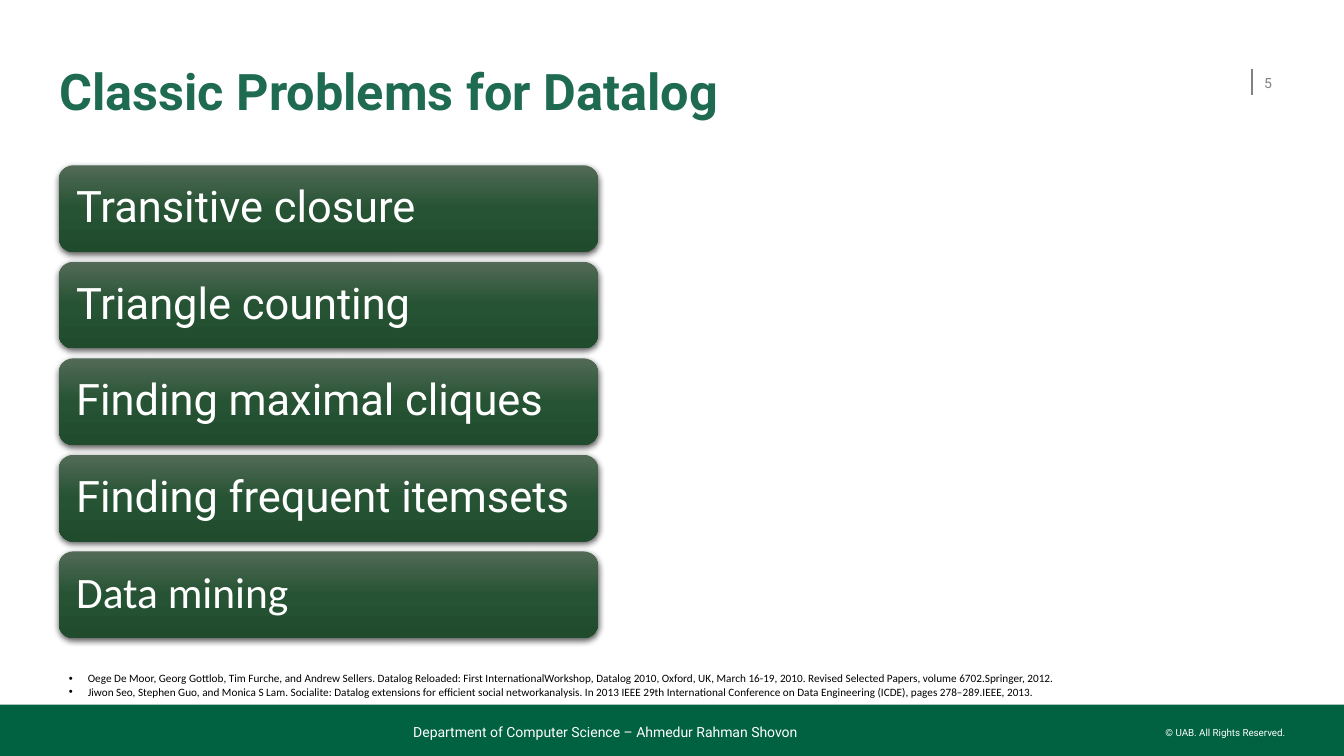
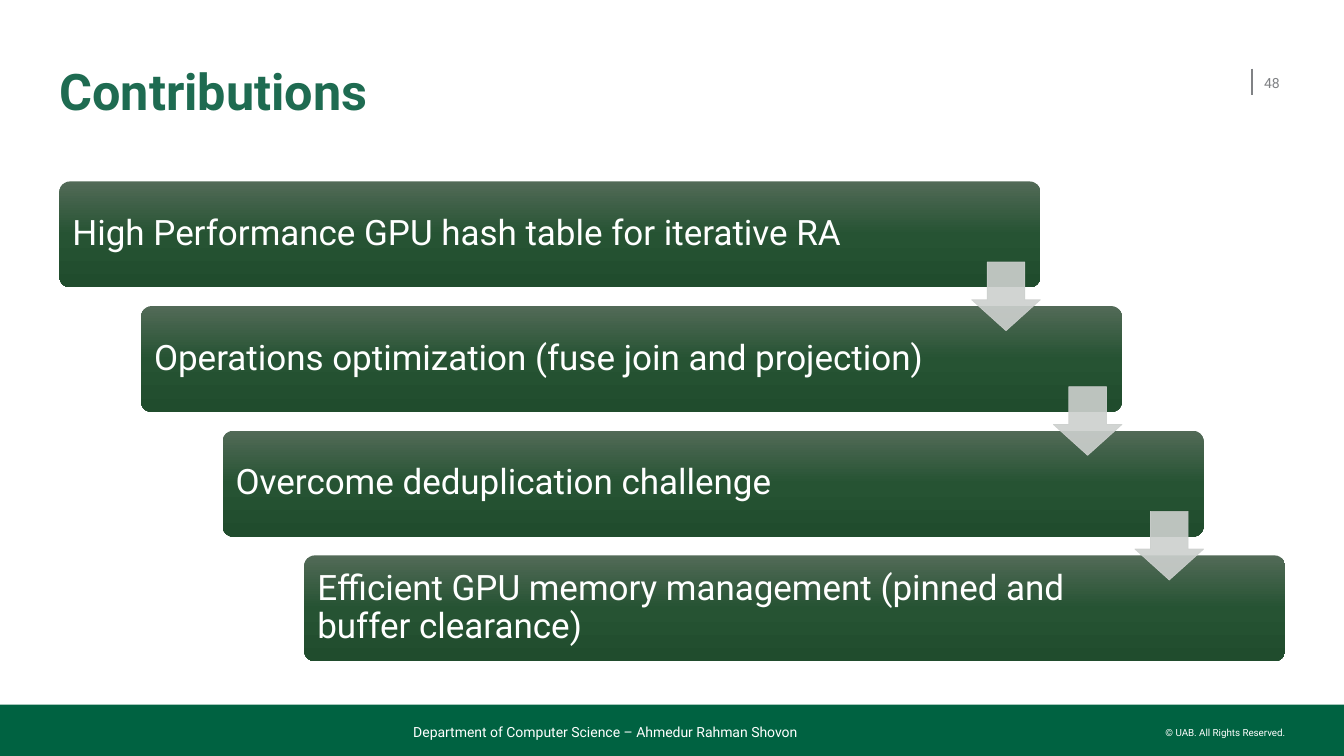
from pptx import Presentation
from pptx import util as u
from pptx import oxml
from pptx.dml import color
from pptx.enum import shapes, text
from pptx.oxml import ns

Pt = u.Pt
FONT = "Roboto"
LEFT, RIGHT = text.PP_ALIGN.LEFT, text.PP_ALIGN.RIGHT
TOP, MID, LOW = (text.MSO_ANCHOR.TOP, text.MSO_ANCHOR.MIDDLE,
                 text.MSO_ANCHOR.BOTTOM)
WHITE, GREY, GREEN = "FFFFFF", "808285", "006241"
TITLE, PALE, BLACK = "1E6B51", "CDD0CE", "000000"
GRADE = [(0, "526A57"), (50, "265333"), (100, "204C2D")]

FOOT = "Department of Computer Science – Ahmedur Rahman Shovon"
RIGHTS = "© UAB. All Rights Reserved."

TOPICS = [
    ("Transitive closure", FONT),
    ("Triangle counting", FONT),
    ("Finding maximal cliques", FONT),
    ("Finding frequent itemsets", FONT),
    ("Data mining", "Calibri"),
]
REFS = [
    "Oege De Moor, Georg Gottlob, Tim Furche, and Andrew Sellers. "
    "Datalog Reloaded: First InternationalWorkshop, Datalog 2010, "
    "Oxford, UK, March 16-19, 2010. Revised Selected Papers, "
    "volume 6702.Springer, 2012.",
    "Jiwon Seo, Stephen Guo, and Monica S Lam. Socialite: Datalog "
    "extensions for efficient social networkanalysis. In 2013 IEEE 29th "
    "International Conference on Data Engineering (ICDE), "
    "pages 278–289.IEEE, 2013.",
]
STEPS = [
    "High Performance GPU hash table for iterative RA",
    "Operations optimization (fuse join and projection)",
    "Overcome deduplication challenge",
    "Efficient GPU memory management (pinned and buffer clearance)",
]


def rgb(code):
    return color.RGBColor.from_string(code)


def xml(body):
    head, tail = body.split(" ", 1)
    return oxml.parse_xml(f"{head} {ns.nsdecls('a')} {tail}")


def place(shape, *box):
    for name, size in zip(("left", "top", "width", "height"), box):
        setattr(shape, name, Pt(size))


def write(shape, lines, size, tint, font=FONT, bold=False, align=LEFT,
          anchor=MID, pad=(0, 0, 0, 0), bullet=False, **style):
    frame = shape.text_frame
    look = dict(word_wrap=True, auto_size=text.MSO_AUTO_SIZE.NONE,
                vertical_anchor=anchor)
    for side, gap in zip(("left", "top", "right", "bottom"), pad):
        look["margin_" + side] = Pt(gap)
    for name, value in look.items():
        setattr(frame, name, value)
    for i, line in enumerate(lines):
        para = frame.paragraphs[0] if i == 0 else frame.add_paragraph()
        para.add_run().text = line
        if bullet:
            props = para._p.get_or_add_pPr()
            props.set("marL", str(Pt(13.5)))
            props.set("indent", str(Pt(-13.5)))
            props.append(xml('<a:buFont typeface="Arial"/>'))
            props.append(xml('<a:buChar char="•"/>'))
        form = dict(alignment=align, space_before=Pt(0), **style)
        for name, value in form.items():
            setattr(para, name, value)
        face = para.runs[0].font
        for name, value in dict(name=font, size=Pt(size), bold=bold).items():
            setattr(face, name, value)
        face.color.rgb = rgb(tint)


def label(slide, box, line, size, tint, **style):
    shape = slide.shapes.add_textbox(*map(Pt, box))
    write(shape, [line], size, tint, **style)


def block(slide, kind, box, tint):
    shape = slide.shapes.add_shape(kind, *map(Pt, box))
    shape.shadow.inherit = False
    shape.fill.solid()
    shape.fill.fore_color.rgb = rgb(tint)
    shape.line.fill.background()
    return shape


def bar(slide, box, line, size, pad, font=FONT):
    kind = shapes.MSO_SHAPE.ROUNDED_RECTANGLE
    shape = block(slide, kind, box, GRADE[1][1])
    stops = "".join(f'<a:gs pos="{at * 1000}"><a:srgbClr val="{tint}"/></a:gs>'
                    for at, tint in GRADE)
    props = shape._element.spPr
    props.replace(props.find(ns.qn("a:solidFill")), xml(
        f'<a:gradFill rotWithShape="1"><a:gsLst>{stops}</a:gsLst>'
        '<a:lin ang="5400000" scaled="0"/></a:gradFill>'))
    write(shape, [line], size, WHITE, font=font, pad=pad, line_spacing=0.9)
    return shape


def shade(shape):
    shape._element.spPr.find(ns.qn("a:effectLst")).append(xml(
        f'<a:outerShdw blurRad="{Pt(4.5)}" dist="{Pt(1.5)}" dir="5400000" '
        f'algn="ctr" rotWithShape="0"><a:srgbClr val="{BLACK}">'
        '<a:alpha val="63000"/></a:srgbClr></a:outerShdw>'))


def arrow(slide, box):
    shape = block(slide, shapes.MSO_SHAPE.DOWN_ARROW, box, PALE)
    shape.adjustments[0] = 0.55
    shape.adjustments[1] = 0.45
    shape.line.color.rgb = rgb(PALE)
    shape.line.width = Pt(0.5)
    for tint in shape._element.spPr.iter(ns.qn("a:srgbClr")):
        tint.append(xml('<a:alpha val="90000"/>'))


def start(deck, layout, title, number):
    slide = deck.slides.add_slide(deck.slide_layouts[layout])
    rule = slide.shapes.add_connector(
        shapes.MSO_CONNECTOR.STRAIGHT, *map(Pt, (894.2, 49, 894.2, 67.7)))
    rule.line.color.rgb = rgb(GREY)
    rule.line.width = Pt(1)
    rule._element.spPr.append(xml("<a:effectLst />"))
    block(slide, shapes.MSO_SHAPE.RECTANGLE, (0, 503.3, 960, 36.7), GREEN)
    label(slide, (800, 519, 118, 9), RIGHTS, 7, WHITE,
          align=RIGHT, anchor=TOP)
    place(slide.shapes.title, 42.5, 37.4, 837, 60.5)
    write(slide.shapes.title, [title], 36, TITLE, bold=True, line_spacing=0.9)
    label(slide, (902.9, 44.6, 24, 28.8), number, 10, GREY)
    label(slide, (295.2, 512, 510, 16.5), FOOT, 10, WHITE, anchor=LOW)
    return slide


def problems(deck):
    slide = start(deck, 1, "Classic Problems for Datalog", "5")
    for i, (line, font) in enumerate(TOPICS):
        box = (42, 118.1 + i * 68.94, 385.2, 61.9)
        shade(bar(slide, box, line, 31, (9.4,) * 4, font))
    body = slide.placeholders[1]
    place(body, 42, 476, 798, 26.6)
    write(body, REFS, 8, BLACK, font="Calibri", anchor=TOP,
          pad=(7.2, 3.6, 7.2, 3.6), bullet=True)


def results(deck):
    slide = start(deck, 5, "Contributions", "48")
    wide, high, side = 700.6, 75.6, 49
    spots = [(42.5 + i * 58.3, 129.6 + i * 89.04) for i in range(len(STEPS))]
    for (x, y), line in zip(spots, STEPS):
        shape = bar(slide, (x, y, wide, high), line, 25, (7.2, 7.2, 115, 7.2))
        shape.adjustments[0] = 0.1
    for x, y in spots[:-1]:
        arrow(slide, (x + wide - side, y + 57.6, side, side))


def main():
    deck = Presentation()
    deck.slide_width, deck.slide_height = Pt(960), Pt(540)
    problems(deck)
    results(deck)
    deck.save("out.pptx")


if __name__ == "__main__":
    main()
